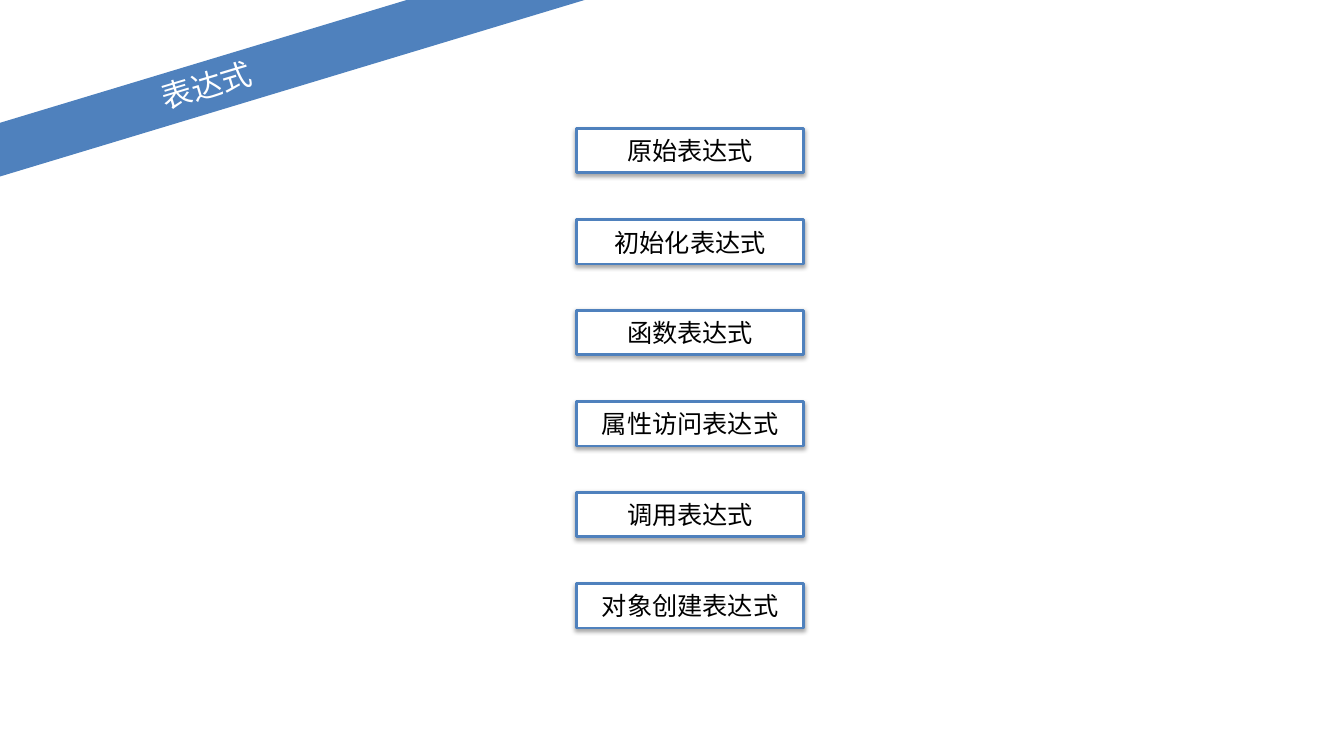
from dataclasses import dataclass

from lxml.etree import SubElement
from pptx import Presentation
from pptx.dml.color import RGBColor
from pptx.enum.lang import MSO_LANGUAGE_ID as Lang
from pptx.enum.shapes import MSO_SHAPE as Kind
from pptx.enum.text import MSO_ANCHOR as Anchor, MSO_AUTO_SIZE as Fit, PP_ALIGN as Align
from pptx.oxml.ns import qn
from pptx.util import Emu, Pt

SCALE = 9144  # EMU per px, 100 px to the inch
BLUE = RGBColor(0x4F, 0x81, 0xBD)
WHITE = RGBColor(0xFF, 0xFF, 0xFF)
BLACK = RGBColor(0x00, 0x00, 0x00)

TITLE = "表达式"
LABELS = [
    "原始表达式",
    "初始化表达式",
    "函数表达式",
    "属性访问表达式",
    "调用表达式",
    "对象创建表达式",
]
LEFT, FIRST, LAST = 1144, 255, 1158
WIDTH, HEIGHT = 451, 88


@dataclass
class Area:
    left: int
    top: int
    width: int
    height: int


@dataclass
class Style:
    face: str
    size: float
    color: RGBColor


BAND = Style("Noto Sans CJK SC", 43.8, WHITE)
LABEL = Style("Calibri", 36, BLACK)


def px(count: int) -> Emu:
    return Emu(count * SCALE)


def place(shape, area: Area) -> None:
    shape.left, shape.top = px(area.left), px(area.top)
    shape.width, shape.height = px(area.width), px(area.height)


def fill(shape, color: RGBColor) -> None:
    shape.fill.solid()
    shape.fill.fore_color.rgb = color


def write(shape, text: str, style: Style):
    """Put one centred run in the shape and return its paragraph."""
    frame = shape.text_frame
    frame.margin_left = frame.margin_right = 0
    frame.margin_top = frame.margin_bottom = 0
    frame.word_wrap = True
    frame.auto_size = Fit.NONE
    frame.vertical_anchor = Anchor.MIDDLE
    para = frame.paragraphs[0]
    para.alignment = Align.CENTER
    run = para.add_run()
    run.text = text
    font = run.font
    font.size = Pt(style.size)
    font.color.rgb = style.color
    font.name = style.face
    font.language_id = Lang.SIMPLIFIED_CHINESE
    return para


def shade(shape) -> None:
    """Give the shape a soft black shadow straight below it."""
    shape.shadow.inherit = False
    effects = shape._element.spPr.find(qn("a:effectLst"))
    outer = SubElement(effects, qn("a:outerShdw"), blurRad=str(Pt(6)),
                       dist=str(Pt(3)), dir="5400000", rotWithShape="0")
    color = SubElement(outer, qn("a:srgbClr"), val=str(BLACK))
    SubElement(color, qn("a:alpha"), val="35000")


def draw_band(slide) -> None:
    band = slide.shapes.title
    place(band, Area(-499, 122, 1819, 102))
    band.rotation = 343.2
    fill(band, BLUE)
    para = write(band, TITLE, BAND)
    para.line_spacing = 0.9
    props = para.runs[0].font._element
    SubElement(props, qn("a:ea"), typeface=BAND.face)


def draw_box(slide, area: Area, text: str) -> None:
    box = slide.shapes.add_shape(Kind.RECTANGLE, 0, 0, 0, 0)
    place(box, area)
    fill(box, WHITE)
    box.line.color.rgb = BLUE
    box.line.width = Pt(4)
    shade(box)
    write(box, text, LABEL)


def main() -> None:
    deck = Presentation()
    deck.slide_width, deck.slide_height = px(2667), px(1500)
    slide = deck.slides.add_slide(deck.slide_layouts.get_by_name("Title Only"))
    draw_band(slide)
    step = (LAST - FIRST) / (len(LABELS) - 1)
    for row, text in enumerate(LABELS):
        draw_box(slide, Area(LEFT, round(FIRST + row * step), WIDTH, HEIGHT), text)
    deck.save("out.pptx")


if __name__ == "__main__":
    main()
